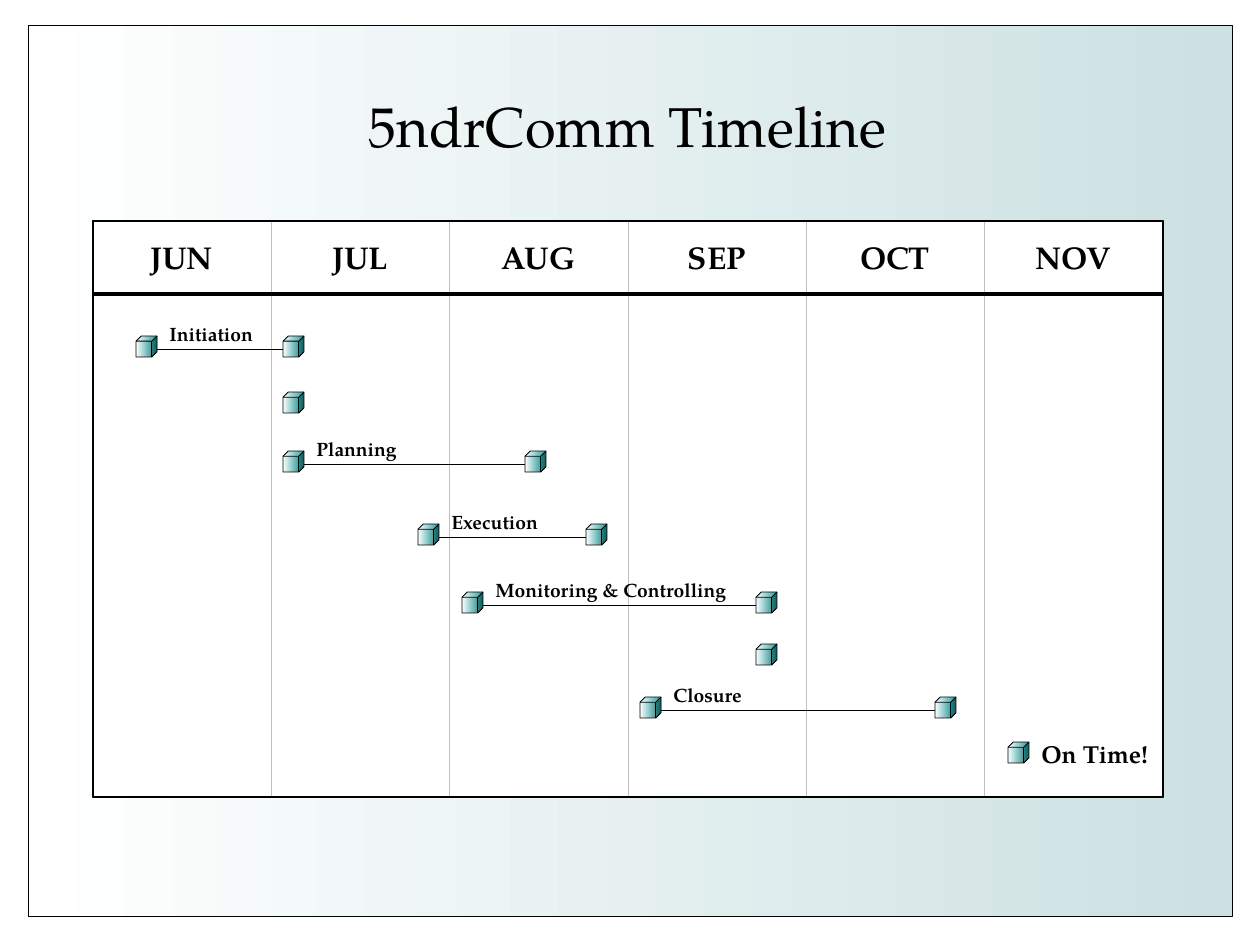
from typing import NamedTuple, Optional

from pptx import Presentation
from pptx.dml.color import RGBColor
from pptx.enum.shapes import MSO_CONNECTOR, MSO_SHAPE
from pptx.enum.text import MSO_ANCHOR, PP_ALIGN
from pptx.oxml.ns import qn
from pptx.util import Emu, Pt

RECTANGLE, CUBE = MSO_SHAPE.RECTANGLE, MSO_SHAPE.CUBE
STRAIGHT = MSO_CONNECTOR.STRAIGHT
MIDDLE = MSO_ANCHOR.MIDDLE
LEFT, CENTER = PP_ALIGN.LEFT, PP_ALIGN.CENTER

PIXELS_PER_INCH = 126
FONT = "TeX Gyre Pagella"
BLACK, WHITE, GRAY = "000000", "FFFFFF", "C0C0C0"
MIST, TEAL = "CCE1E2", "008080"
CUBE_SIZE = 21
LABEL_HEIGHT = 37


class Box(NamedTuple):
    left: float
    top: float
    width: float
    height: float


class Phase(NamedTuple):
    name: str
    start: int
    end: int
    top: int
    label_width: int = 165


class Milestone(NamedTuple):
    left: int
    top: int


FRAME = Box(28, 25, 1205, 892)
TITLE = Box(38, 92, 1179, 76)
CHART = Box(93, 221, 1070, 576)
HEADER_HEIGHT = 72
MONTHS = ["JUN", "JUL", "AUG", "SEP", "OCT", "NOV"]
PHASES = [
    Phase("Initiation", 136, 283, 336),
    Phase("Planning", 283, 525, 451),
    Phase("Execution", 418, 586, 524),
    Phase("Monitoring & Controlling", 462, 756, 592, label_width=270),
    Phase("Closure", 640, 935, 697),
]
MILESTONES = [Milestone(283, 392), Milestone(756, 644), Milestone(1008, 742)]


def px(value: float) -> Emu:
    return Emu(round(value * 914400 / PIXELS_PER_INCH))


def color(value: str) -> RGBColor:
    return RGBColor.from_string(value)


presentation = Presentation()
presentation.slide_width = px(1260)
presentation.slide_height = px(945)
slide = presentation.slides.add_slide(presentation.slide_layouts[6])


def add_box(box: Box, fill: Optional[str] = None, fade: Optional[str] = None,
            line: Optional[float] = None, kind: MSO_SHAPE = RECTANGLE):
    """Draw a shape; fade is the right-hand colour of a gradient."""
    shape = slide.shapes.add_shape(kind, *map(px, box))
    shape.shadow.inherit = False
    if fade:
        shape.fill.gradient()
        shape.fill.gradient_angle = 0
        for stop, stop_color in zip(shape.fill.gradient_stops, (fill, fade)):
            stop.color.rgb = color(stop_color)
    elif fill:
        shape.fill.solid()
        shape.fill.fore_color.rgb = color(fill)
    else:
        shape.fill.background()
    if line:
        shape.line.color.rgb = color(BLACK)
        shape.line.width = Pt(line)
    else:
        shape.line.fill.background()
    return shape


def add_cube(left: int, top: int) -> None:
    add_box(Box(left, top, CUBE_SIZE, CUBE_SIZE), WHITE, TEAL, 0.5, CUBE)


def add_line(x1: float, y1: float, x2: float, y2: float,
             line_color: str, width: float) -> None:
    connector = slide.shapes.add_connector(STRAIGHT, px(x1), px(y1), px(x2), px(y2))
    connector.line.color.rgb = color(line_color)
    connector.line.width = Pt(width)
    properties = connector._element.spPr
    properties.append(properties.makeelement(qn("a:effectLst"), {}))


def write(shape, text: str, size: int, align: PP_ALIGN = LEFT,
          bold: bool = True, wrap: bool = False):
    frame = shape.text_frame
    frame.word_wrap = wrap
    frame.vertical_anchor = MIDDLE
    paragraph = frame.paragraphs[0]
    paragraph.text = text
    paragraph.alignment = align
    font = paragraph.font
    font.name, font.size, font.bold = FONT, Pt(size), bold
    font.color.rgb = color(BLACK)
    return paragraph


def add_label(left: int, top: int, width: int, text: str, size: int) -> None:
    box = Box(left, top, width, LABEL_HEIGHT)
    write(slide.shapes.add_textbox(*map(px, box)), text, size, wrap=True)


# Background and title
add_box(FRAME, WHITE, MIST, 0.5)
title = slide.shapes.add_textbox(*map(px, TITLE))
write(title, "5ndrComm Timeline", 32, CENTER, bold=False, wrap=True).line_spacing = 0.89

# Month headers and dividers
add_box(CHART, WHITE, line=1)
month_width = CHART.width / len(MONTHS)
right, bottom = CHART.left + CHART.width, CHART.top + CHART.height
for index, month in enumerate(MONTHS):
    month_left = CHART.left + index * month_width
    header = add_box(Box(month_left, CHART.top, month_width - 1, HEADER_HEIGHT), WHITE)
    write(header, month, 18, CENTER)
    if index:
        add_line(month_left, CHART.top, month_left, bottom, GRAY, 0.5)
add_box(CHART, line=1)
header_bottom = CHART.top + HEADER_HEIGHT + 1
add_line(CHART.left, header_bottom, right, header_bottom, BLACK, 2)

# Phases
for phase in PHASES:
    add_label(phase.start + CUBE_SIZE, phase.top - 21, phase.label_width, phase.name, 11)
    add_cube(phase.end, phase.top)
    line_top = phase.top + 13
    add_line(phase.start + 17, line_top, phase.end, line_top, BLACK, 0.5)
    add_cube(phase.start, phase.top)

# Milestones
for milestone in MILESTONES:
    add_cube(milestone.left, milestone.top)
finish = MILESTONES[-1]
add_label(finish.left + CUBE_SIZE, finish.top - 7, 140, "On Time!", 14)

presentation.save("out.pptx")
